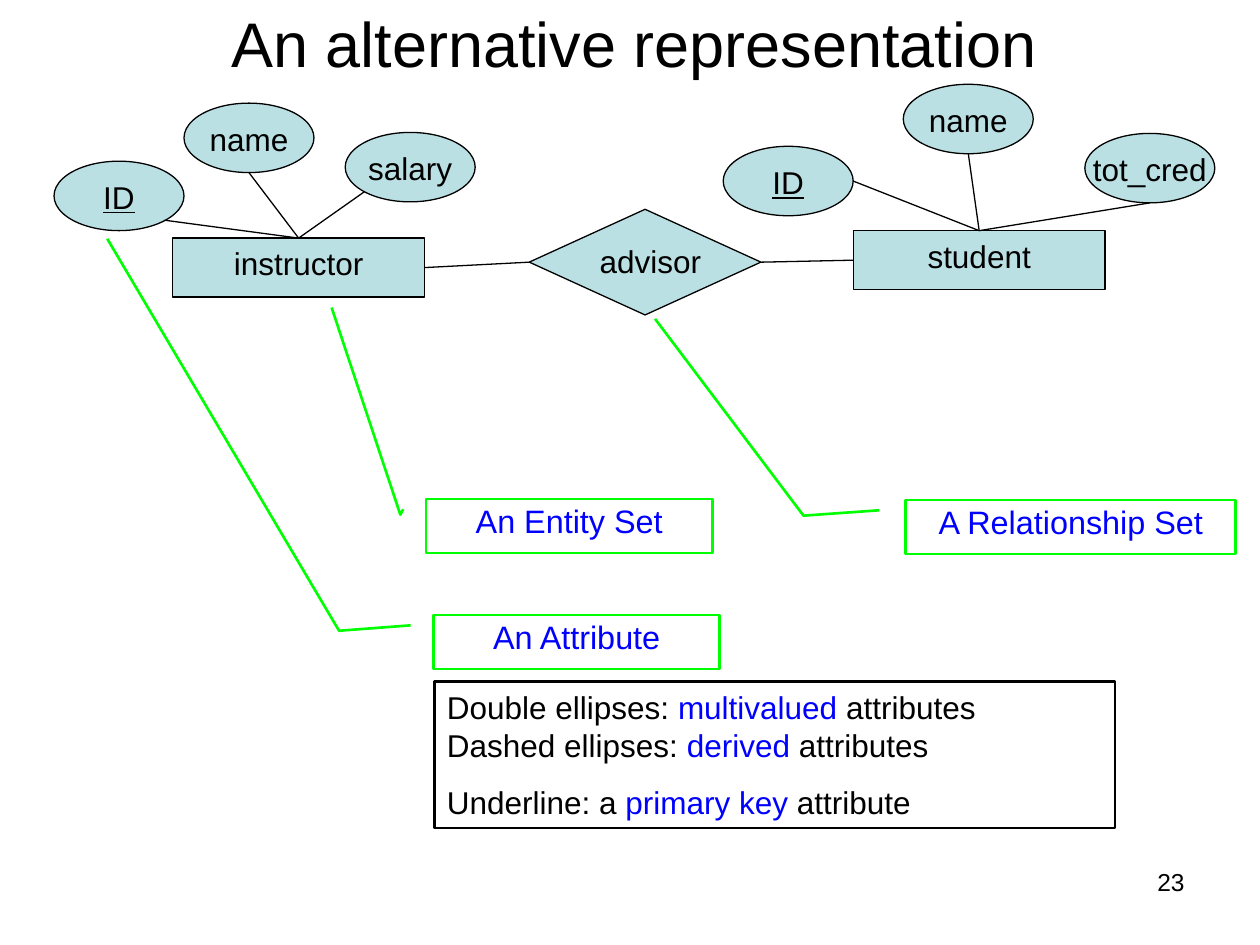
from typing import NamedTuple

from lxml.etree import SubElement
from pptx import Presentation
from pptx.dml.color import RGBColor
from pptx.enum.shapes import MSO_CONNECTOR, MSO_SHAPE
from pptx.enum.text import MSO_ANCHOR, PP_ALIGN
from pptx.oxml.ns import qn
from pptx.util import Cm, Pt

BLACK = RGBColor(0x00, 0x00, 0x00)
WHITE = RGBColor(0xFF, 0xFF, 0xFF)
BLUE = RGBColor(0x00, 0x00, 0xFF)
GREEN = RGBColor(0x00, 0xFF, 0x00)
TEAL = RGBColor(0xBB, 0xE0, 0xE3)
FONT = "Arial"


class Box(NamedTuple):
    x: float
    y: float
    w: float
    h: float

    def at(self, fx: float, fy: float) -> tuple[float, float]:
        """Return the point at the given fractions of width and height."""
        return self.x + fx * self.w, self.y + fy * self.h


class Attribute(NamedTuple):
    name: str
    x: float
    y: float
    port: tuple[float, float]
    key: bool = False


class Entity(NamedTuple):
    name: str
    x: float
    y: float
    attributes: list[Attribute]


class Callout(NamedTuple):
    text: str
    box: Box
    bend_x: float
    tip_y: float
    tip_x: float


TOP, BOTTOM, LEFT, RIGHT = (0.5, 0), (0.5, 1), (0, 0.5), (1, 0.5)
BOTTOM_LEFT, BOTTOM_RIGHT = (0.15, 0.85), (0.85, 0.85)

ENTITIES = [
    Entity("instructor", 3.48, 4.8, [
        Attribute("ID", 1.09, 3.25, BOTTOM_RIGHT, True),
        Attribute("name", 3.71, 2.08, BOTTOM),
        Attribute("salary", 6.96, 2.67, BOTTOM_LEFT),
    ]),
    Entity("student", 17.2, 4.65, [
        Attribute("ID", 14.58, 2.95, RIGHT, True),
        Attribute("name", 18.21, 1.7, BOTTOM),
        Attribute("tot_cred", 21.87, 2.69, BOTTOM),
    ]),
]
ADVISOR = Box(10.67, 4.22, 4.67, 2.13)
CALLOUTS = [
    Callout("An Entity Set", Box(8.59, 10.06, 5.77, 1.09), -0.09, -3.54, -0.33),
    Callout("A Relationship Set", Box(18.26, 10.08, 6.65, 1.09), -0.31, -3.35, -0.76),
    Callout("An Attribute", Box(8.74, 12.4, 5.77, 1.09), -0.33, -6.96, -1.14),
]
NOTES = [
    [[("Double ellipses: ", BLACK), ("multivalued", BLUE), (" attributes", BLACK)],
     [("Dashed ellipses: ", BLACK), ("derived", BLUE), (" attributes", BLACK)]],
    [[("Underline: a ", BLACK), ("primary key", BLUE), (" attribute", BLACK)]],
]


def style(p, size: float, color: RGBColor = BLACK, align=PP_ALIGN.CENTER) -> None:
    """Set the alignment and font of a paragraph."""
    p.alignment = align
    p.font.name, p.font.size = FONT, Pt(size)
    p.font.color.rgb = color


def add_text(s, text: str, box: Box, size: float, align, anchor=MSO_ANCHOR.TOP) -> None:
    """Add a plain text box."""
    tf = s.shapes.add_textbox(*map(Cm, box)).text_frame
    tf.word_wrap = True
    tf.vertical_anchor = anchor
    tf.text = text
    style(tf.paragraphs[0], size, align=align)


def add_box(s, kind, box: Box, fill: RGBColor, line: RGBColor, width: float, opacity: int = 100):
    """Add a filled and outlined shape with its text at the top."""
    sp = s.shapes.add_shape(kind, *map(Cm, box))
    sp.shadow.inherit = False
    sp.fill.solid()
    sp.fill.fore_color.rgb = fill
    if opacity < 100:
        color = sp.fill._xPr.find(f"{qn('a:solidFill')}/{qn('a:srgbClr')}")
        SubElement(color, qn("a:alpha"), val=str(opacity * 1000))
    sp.line.color.rgb = line
    sp.line.width = Pt(width)
    sp.text_frame.vertical_anchor = MSO_ANCHOR.TOP
    sp.text_frame.word_wrap = True
    return sp


def add_node(s, kind, box: Box, text: str, key: bool = False, align=PP_ALIGN.CENTER) -> None:
    """Add a labelled diagram node, underlined when it is a key."""
    tf = add_box(s, kind, box, TEAL, BLACK, 0.75).text_frame
    tf.word_wrap = False
    p = tf.paragraphs[0]
    p.text = text
    style(p, 18, align=align)
    if key:
        p.font.underline = True


def add_line(s, start: tuple[float, float], end: tuple[float, float]) -> None:
    """Join two points with a thin black line."""
    line = s.shapes.add_connector(MSO_CONNECTOR.STRAIGHT, *map(Cm, start + end))
    line.line.color.rgb = BLACK
    line.line.width = Pt(0.75)
    SubElement(line._element.spPr, qn("a:effectLst"))


def add_entity(s, entity: Entity) -> Box:
    """Add an entity set with its attributes and return its box."""
    box = Box(entity.x, entity.y, 5.08, 1.19)
    add_node(s, MSO_SHAPE.RECTANGLE, box, entity.name)
    for attribute in entity.attributes:
        oval = Box(attribute.x, attribute.y, 2.62, 1.4)
        add_node(s, MSO_SHAPE.OVAL, oval, attribute.name, attribute.key)
        add_line(s, box.at(*TOP), oval.at(*attribute.port))
    return box


def add_callout(s, callout: Callout) -> None:
    """Add a green callout whose bent line points at the diagram."""
    sp = add_box(s, MSO_SHAPE.LINE_CALLOUT_2, callout.box, WHITE, GREEN, 1.5, 22)
    points = (0.19, -0.08, 0.29, callout.bend_x, callout.tip_y, callout.tip_x)
    for i, value in enumerate(points):
        sp.adjustments[i] = value
    p = sp.text_frame.paragraphs[0]
    p.text = callout.text
    p.line_spacing = 0.9
    style(p, 18.5, BLUE)


def add_notes(s, box: Box) -> None:
    """Add the framed notes on notation."""
    tf = add_box(s, MSO_SHAPE.RECTANGLE, box, WHITE, BLACK, 1.5, 52).text_frame
    for i, lines in enumerate(NOTES):
        p = tf.add_paragraph() if i else tf.paragraphs[0]
        style(p, 18, align=PP_ALIGN.LEFT)
        if i:
            p.space_before = Pt(11.2)
        for j, runs in enumerate(lines):
            if j:
                p.add_line_break()
            for text, color in runs:
                r = p.add_run()
                r.text = text
                r.font.color.rgb = color


def main() -> None:
    """Build the slide and save it."""
    prs = Presentation()
    prs.slide_width, prs.slide_height = Cm(25.4), Cm(19.05)
    s = prs.slides.add_slide(prs.slide_layouts[6])
    add_text(s, "23", Box(18.21, 17.35, 5.92, 1.32), 14, PP_ALIGN.RIGHT)
    add_text(s, "An alternative representation", Box(1.3, 0, 22.96, 1.7), 36,
             PP_ALIGN.CENTER, MSO_ANCHOR.MIDDLE)
    for callout in CALLOUTS:
        add_callout(s, callout)
    add_notes(s, Box(8.76, 13.74, 13.72, 2.95))
    instructor, student = [add_entity(s, entity) for entity in ENTITIES]
    add_node(s, MSO_SHAPE.DIAMOND, ADVISOR, "advisor", align=PP_ALIGN.LEFT)
    add_line(s, instructor.at(*RIGHT), ADVISOR.at(*LEFT))
    add_line(s, ADVISOR.at(*RIGHT), student.at(*LEFT))
    prs.save("out.pptx")


if __name__ == "__main__":
    main()
